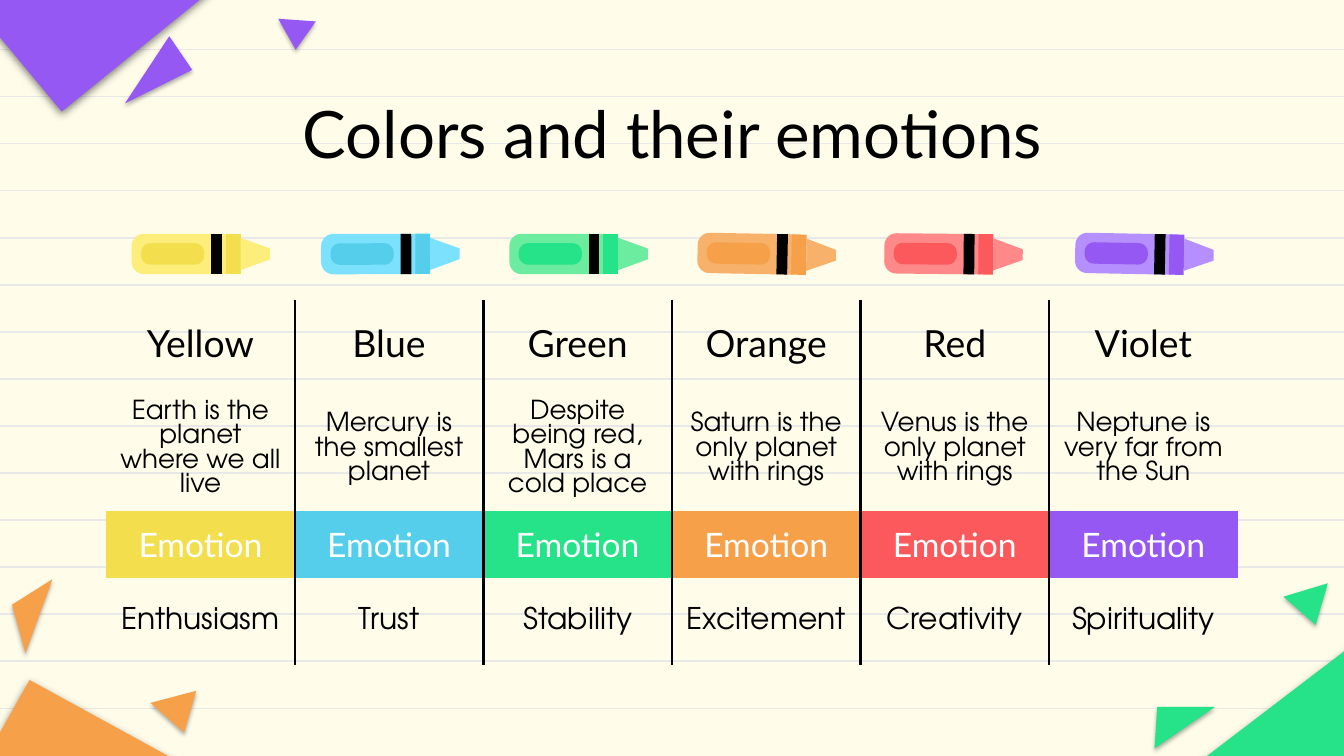
from dataclasses import dataclass
from math import cos, radians, sin

from lxml.etree import SubElement
from pptx import Presentation
from pptx.dml.color import RGBColor
from pptx.enum.shapes import MSO_CONNECTOR
from pptx.enum.text import MSO_ANCHOR, MSO_AUTO_SIZE, PP_ALIGN
from pptx.oxml import parse_xml
from pptx.oxml.ns import nsdecls, qn
from pptx.util import Inches, Pt


@dataclass(frozen=True)
class Theme:
    paper: str = "FFFDEA"
    rule: str = "E8E8E8"
    ink: str = "000000"
    white: str = "FFFFFF"
    violet: str = "9658F3"
    orange: str = "F6A049"
    green: str = "26E288"
    heading: str = "Lato"
    body: str = "TeX Gyre Adventor"
    title_size: int = 35
    name_size: int = 20
    fact_size: int = 14
    label_size: int = 18
    emotion_size: int = 16


theme = Theme()
rgb = RGBColor.from_string

# name, fact, emotion, dark colour, light colour, crayon centre, crayon tilt in degrees
COLUMNS = [
    ("Yellow", "Earth is the planet where we all live", "Enthusiasm", "F3DF4E", "FDEE7C", 1.49, 0),
    ("Blue", "Mercury is the smallest planet", "Trust", "54CEEA", "7BE1FD", 2.9, -0.1),
    ("Green", "Despite being red, Mars is a cold place", "Stability", theme.green, "6BEC9E", 4.3, 0),
    ("Orange", "Saturn is the only planet with rings", "Excitement", theme.orange, "F7B16A", 5.7, 1.1),
    ("Red", "Venus is the only planet with rings", "Creativity", "FC595D", "FF8888", 7.09, 0.6),
    ("Violet", "Neptune is very far from the Sun", "Spirituality", theme.violet, "B68FFF", 8.51, 1.1),
]

prs = Presentation()
prs.slide_width, prs.slide_height = Inches(10), Inches(10 * 9 / 16)
s = prs.slides.add_slide(prs.slide_layouts[5])
s.background.fill.solid()
s.background.fill.fore_color.rgb = rgb(theme.paper)


def add_polygon(points, color, shadow=None):
    """Fill a closed outline; shadow is (opacity in percent, blur in points)."""
    start, *rest = [(Inches(x), Inches(y)) for x, y in points]
    builder = s.shapes.build_freeform(*start)
    builder.add_line_segments(rest, close=True)
    sp = builder.convert_to_shape()
    sp.fill.solid()
    sp.fill.fore_color.rgb = rgb(color)
    sp.line.fill.background()
    sp.shadow.inherit = False
    if shadow:
        opacity, blur = shadow
        effects = sp.element.spPr.find(qn("a:effectLst"))
        effects.append(parse_xml(
            f'<a:outerShdw {nsdecls("a")} blurRad="{Pt(blur)}" dist="{Pt(1.5)}" dir="5400000" '
            f'algn="bl" rotWithShape="0"><a:srgbClr val="{theme.ink}">'
            f'<a:alpha val="{opacity * 1000}"/></a:srgbClr></a:outerShdw>'))


def rounded_box(left, right, half, radius, round_right):
    """Outline of a box centred on y = 0, with round corners on the left or all round."""
    top_left = [(left + radius + radius * cos(radians(a)), radius - half + radius * sin(radians(a)))
                for a in range(180, 271, 15)]
    left_end = [(x, -y) for x, y in reversed(top_left)] + top_left
    if round_right:
        return left_end + [(left + right - x, y) for x, y in reversed(left_end)]
    return left_end + [(right, -half), (right, half)]


# Notebook rules
for i in range(15):
    y = Inches(0.37 + 0.35 * i)
    rule = s.shapes.add_connector(MSO_CONNECTOR.STRAIGHT, 0, y, Inches(10.04), y)
    rule.line.color.rgb = rgb(theme.rule)
    rule.line.width = Pt(0.75)
    SubElement(rule.element.spPr, qn("a:effectLst"))

# Large paper corners
for color, points in [
    (theme.orange, [(-1.21, 7.61), (2.32, 6.21), (0.22, 5.06)]),
    (theme.green, [(8.15, 6.26), (12.19, 6.26), (10.56, 4.42)]),
    (theme.violet, [(2.73, -1.01), (-1.07, -1.01), (0.46, 0.83)]),
]:
    add_polygon(points, color, shadow=(50, 4.5))

# Title, in front of the rules
title = s.shapes.title
title.element.getparent().append(title.element)
title.left, title.top = Inches(0.79), Inches(0.59)
title.width, title.height = Inches(8.43), Inches(0.63)
tf = title.text_frame
tf.text = "Colors and their emotions"
tf.auto_size = MSO_AUTO_SIZE.NONE
tf.vertical_anchor = MSO_ANCHOR.TOP
tf.margin_left = tf.margin_right = tf.margin_top = tf.margin_bottom = Inches(0.1)
p = tf.paragraphs[0]
p.alignment = PP_ALIGN.CENTER
p.font.name, p.font.size = theme.heading, Pt(theme.title_size)
p.font.color.rgb = rgb(theme.ink)

# Table: height, font, size and text colour of each row
ROWS = [
    (0.65, theme.heading, theme.name_size, theme.ink),
    (0.76, theme.body, theme.fact_size, theme.ink),
    (0.45, theme.heading, theme.label_size, theme.white),
    (0.65, theme.body, theme.emotion_size, theme.ink),
]
LABEL_ROW = 2
NO_STYLE_NO_GRID = "{2D5ABB26-0587-4C30-8999-92F81FD0307C}"
table_width = 8.42
frame = s.shapes.add_table(len(ROWS), len(COLUMNS), Inches(0.79), Inches(2.23),
                           Inches(table_width), Inches(2.69))
frame.element.xpath(".//a:tableStyleId")[0].text = NO_STYLE_NO_GRID
table = frame.table
table.first_row = table.horz_banding = False
for row, (height, *_) in zip(table.rows, ROWS):
    row.height = Inches(height)

for c, (name, fact, emotion, dark, *_) in enumerate(COLUMNS):
    table.columns[c].width = Inches(table_width / len(COLUMNS))
    for r, text in enumerate((name, fact, "Emotion", emotion)):
        _, font, size, color = ROWS[r]
        cell = table.cell(r, c)
        cell.text = text
        cell.vertical_anchor = MSO_ANCHOR.MIDDLE
        cell.margin_left = cell.margin_right = cell.margin_top = cell.margin_bottom = Inches(0.1)
        p = cell.text_frame.paragraphs[0]
        p.alignment = PP_ALIGN.CENTER
        p.font.name, p.font.size = font, Pt(size)
        p.font.color.rgb = rgb(color)
        for side, inner in (("lnL", c > 0), ("lnR", c < len(COLUMNS) - 1)):
            if inner:
                cell._tc.get_or_add_tcPr().append(parse_xml(
                    f'<a:{side} {nsdecls("a")} w="{Pt(1.5)}"><a:solidFill>'
                    f'<a:srgbClr val="{theme.ink}"/></a:solidFill></a:{side}>'))
        if r == LABEL_ROW:
            cell.fill.solid()
            cell.fill.fore_color.rgb = rgb(dark)
        else:
            cell.fill.background()

# Crayons, each tilted about its own centre
center_y = 1.89
for *_, dark, light, center_x, tilt in COLUMNS:
    cos_t, sin_t = cos(radians(tilt)), sin(radians(tilt))
    for color, outline in [
        (light, rounded_box(-0.51, 0.21, 0.15, 0.09, False)),
        (dark, [(0.19, -0.15), (0.3, -0.15), (0.3, 0.15), (0.19, 0.15)]),
        (dark, rounded_box(-0.44, 0.03, 0.08, 0.07, True)),
        (theme.ink, [(0.08, -0.15), (0.16, -0.15), (0.16, 0.15), (0.08, 0.15)]),
        (light, [(0.3, -0.12), (0.3, 0.12), (0.52, 0.04), (0.52, -0.04)]),
    ]:
        add_polygon([(center_x + x * cos_t - y * sin_t, center_y + x * sin_t + y * cos_t)
                     for x, y in outline], color)

# Small paper scraps
for color, points in [
    (theme.orange, [(0.39, 4.31), (0.09, 4.5), (0.19, 4.86)]),
    (theme.orange, [(1.46, 5.14), (1.12, 5.23), (1.37, 5.45)]),
    (theme.violet, [(2.35, 0.16), (2.07, 0.14), (2.2, 0.37)]),
    (theme.violet, [(0.93, 0.77), (1.43, 0.52), (1.26, 0.27)]),
    (theme.green, [(9.88, 4.34), (9.55, 4.44), (9.79, 4.65)]),
    (theme.green, [(9.04, 5.26), (8.61, 5.26), (8.59, 5.57)]),
]:
    add_polygon(points, color, shadow=(31, 2.2))

prs.save("out.pptx")
